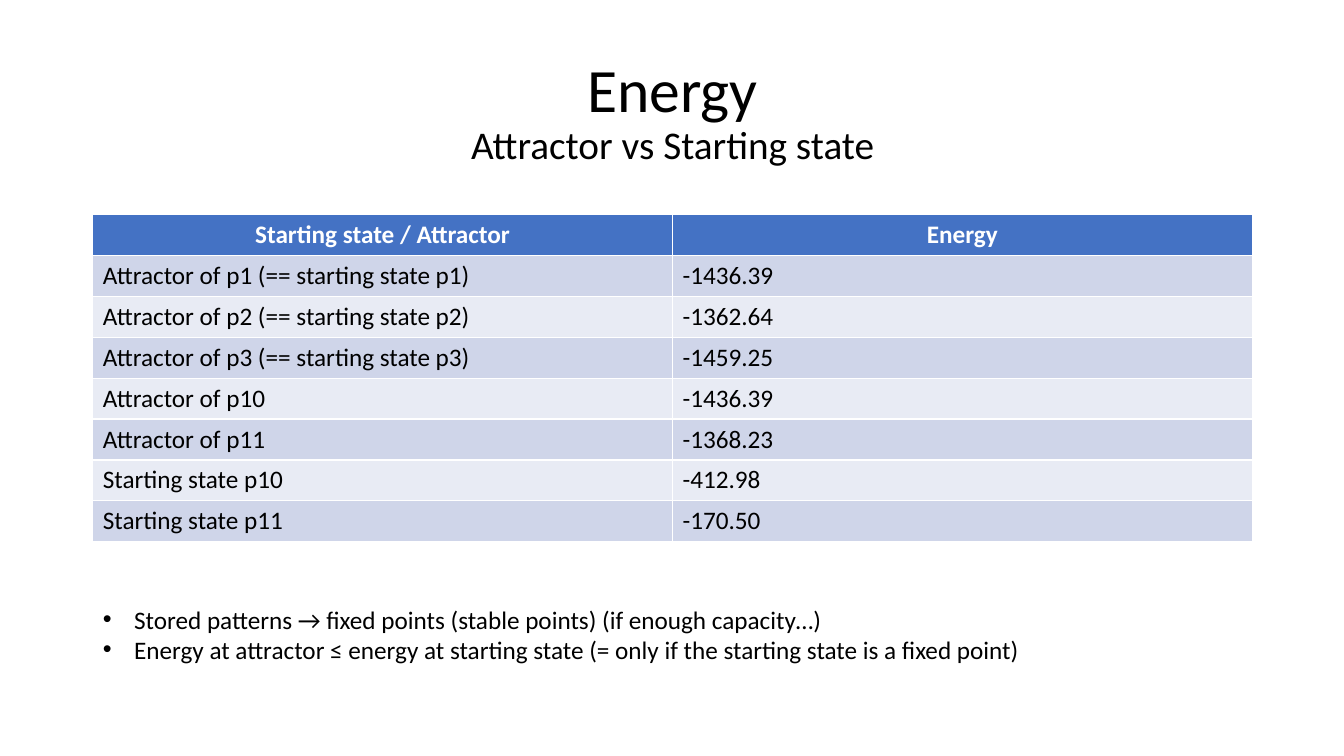
from dataclasses import dataclass

from lxml import etree
from pptx import Presentation
from pptx.dml.color import RGBColor
from pptx.enum.text import MSO_ANCHOR, MSO_AUTO_SIZE, PP_ALIGN
from pptx.oxml.ns import qn
from pptx.util import Inches, Pt

CENTER, LEFT = PP_ALIGN.CENTER, PP_ALIGN.LEFT
TOP, MIDDLE = MSO_ANCHOR.TOP, MSO_ANCHOR.MIDDLE
NO_FIT = MSO_AUTO_SIZE.NONE
TITLE_AND_CONTENT = 1


@dataclass(frozen=True)
class Theme:
    font: str = "Calibri"
    text: str = "000000"
    header_text: str = "FFFFFF"
    header_fill: str = "4472C4"
    bands: tuple = ("CFD5E9", "E8EBF4")
    title_size: int = 44
    subtitle_size: int = 28
    body_size: int = 18


THEME = Theme()

HEADER = ("Starting state / Attractor", "Energy")
ENERGIES = [
    ("Attractor of p1 (== starting state p1)", "-1436.39"),
    ("Attractor of p2 (== starting state p2)", "-1362.64"),
    ("Attractor of p3 (== starting state p3)", "-1459.25"),
    ("Attractor of p10", "-1436.39"),
    ("Attractor of p11", "-1368.23"),
    ("Starting state p10", "-412.98"),
    ("Starting state p11", "-170.50"),
]
CONCLUSIONS = [
    "Stored patterns → fixed points (stable points) (if enough capacity…)",
    "Energy at attractor ≤ energy at starting state "
    "(= only if the starting state is a fixed point)",
]


def add_text(p, text, size=THEME.body_size, color=THEME.text, bold=False, align=LEFT):
    p.alignment = align
    r = p.add_run()
    r.text = text
    r.font.name = THEME.font
    r.font.size = Pt(size)
    r.font.bold = bold
    r.font.color.rgb = RGBColor.from_string(color)


def place(sp, box, anchor):
    """Move a placeholder to box and return its text frame."""
    sp.left, sp.top, sp.width, sp.height = (Inches(v) for v in box)
    tf = sp.text_frame
    tf.word_wrap = True
    tf.auto_size = NO_FIT
    tf.vertical_anchor = anchor
    return tf


def add_bullet(p, indent):
    pPr = p._p.get_or_add_pPr()
    pPr.set("marL", str(Inches(indent)))
    pPr.set("indent", str(-Inches(indent)))
    etree.SubElement(pPr, qn("a:buFont")).set("typeface", "Arial")
    etree.SubElement(pPr, qn("a:buChar")).set("char", "•")


def fill_title(sp, box):
    p = place(sp, box, MIDDLE).paragraphs[0]
    p.line_spacing = 0.9
    add_text(p, "Energy", size=THEME.title_size, align=CENTER)
    p.add_line_break()
    add_text(p, "Attractor vs Starting state", size=THEME.subtitle_size, align=CENTER)


def add_energy_table(slide, box):
    rows = [HEADER] + ENERGIES
    left, top, width, height = (Inches(v) for v in box)
    table = slide.shapes.add_table(
        len(rows), len(HEADER), left, top, width, height).table
    for i, row in enumerate(rows):
        if i == 0:
            fill = THEME.header_fill
            style = dict(color=THEME.header_text, bold=True, align=CENTER)
        else:
            fill = THEME.bands[(i - 1) % 2]
            style = {}
        for j, text in enumerate(row):
            cell = table.cell(i, j)
            cell.fill.solid()
            cell.fill.fore_color.rgb = RGBColor.from_string(fill)
            add_text(cell.text_frame.paragraphs[0], text, **style)


def fill_conclusions(sp, box):
    tf = place(sp, box, TOP)
    for i, text in enumerate(CONCLUSIONS):
        p = tf.add_paragraph() if i else tf.paragraphs[0]
        p.space_before = Pt(0)
        add_bullet(p, 0.31)
        add_text(p, text)


def main():
    prs = Presentation()
    prs.slide_width, prs.slide_height = Inches(13.33), Inches(7.5)
    slide = prs.slides.add_slide(prs.slide_layouts[TITLE_AND_CONTENT])
    left, width = 0.92, 11.5
    fill_title(slide.shapes.title, (left, 0.4, width, 1.45))
    add_energy_table(slide, (left, 2.13, width, 3.24))
    fill_conclusions(slide.placeholders[1], (left, 5.94, width, 1))
    prs.save("out.pptx")


if __name__ == "__main__":
    main()
